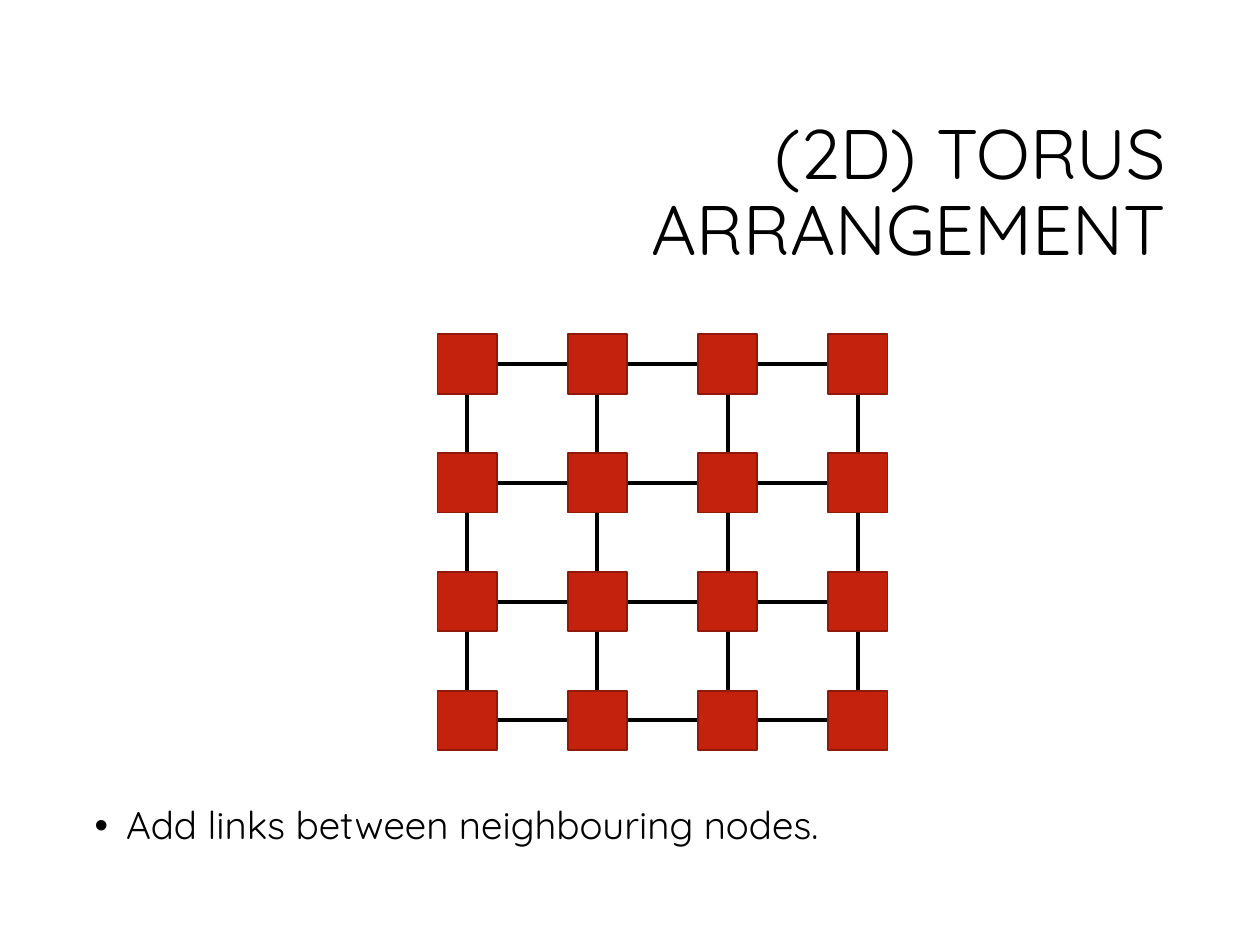
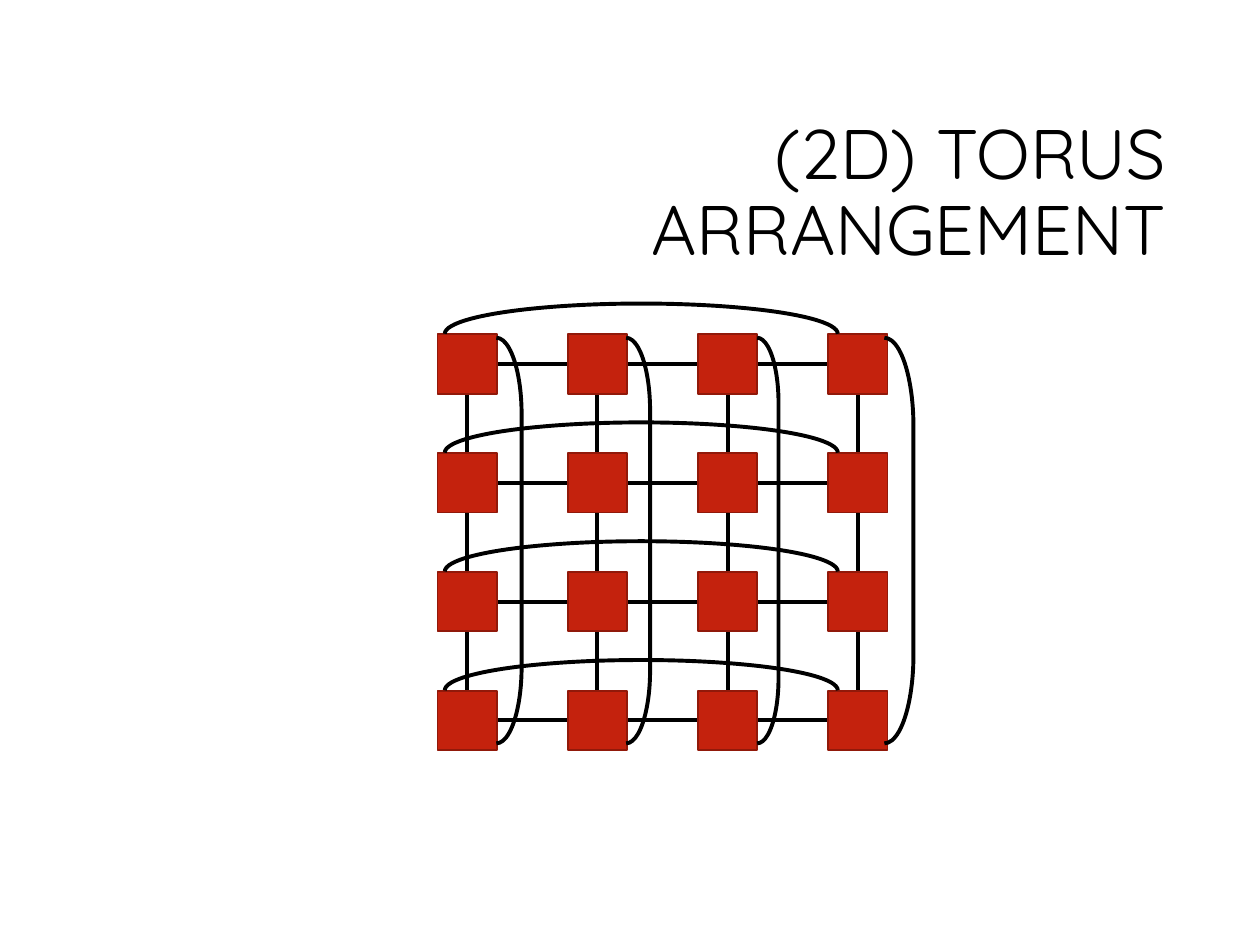
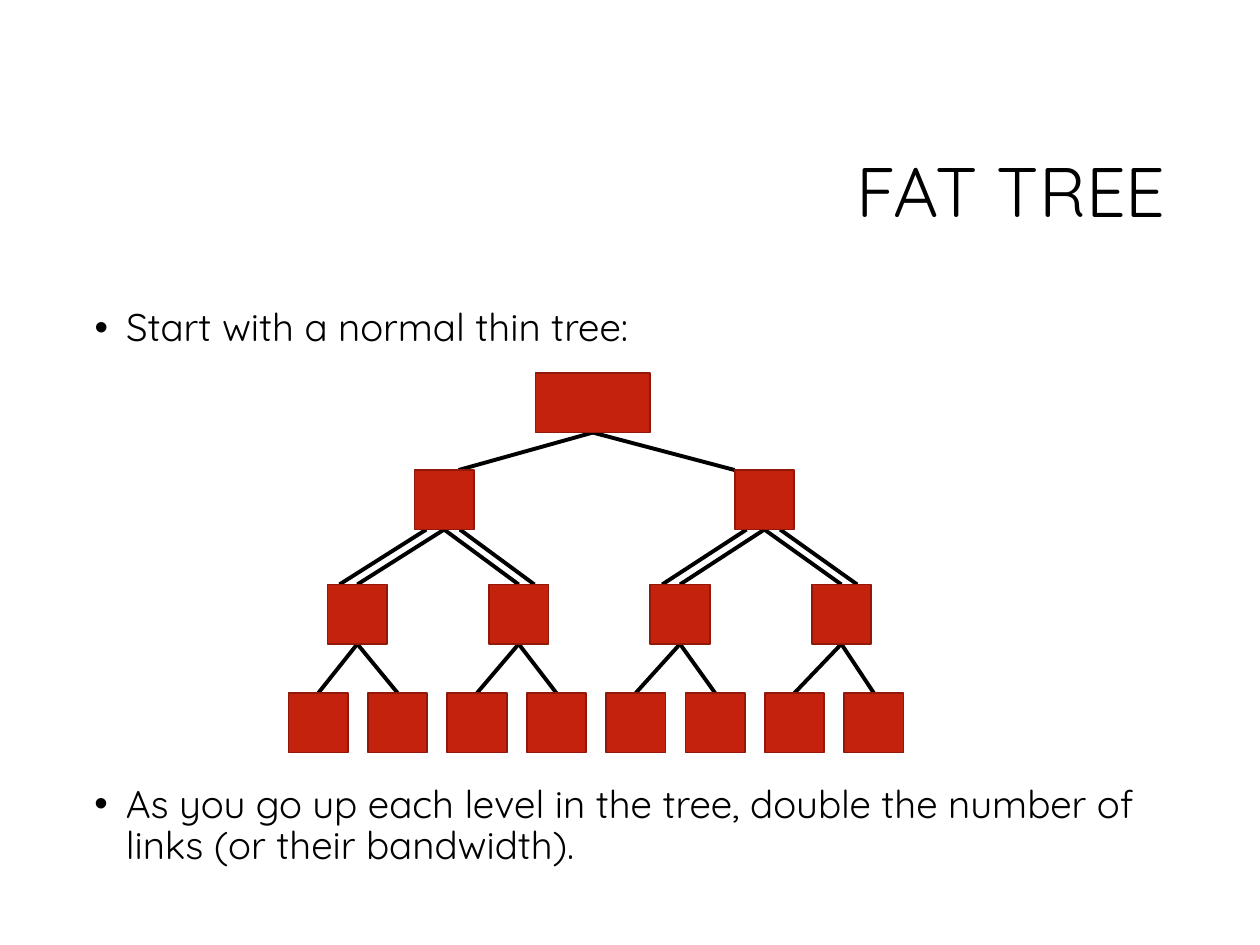
"""Build three slides on torus and fat-tree network arrangements."""
from dataclasses import dataclass
from typing import Any, NamedTuple, Optional

import pptx
import pptx.dml.color
import pptx.enum.shapes
import pptx.enum.text
import pptx.oxml
import pptx.oxml.ns
import pptx.util

Pt = pptx.util.Pt
Shapes = pptx.enum.shapes.MSO_SHAPE
COLORS = {"text": "000000", "link": "000000", "node": "C4220D", "node_edge": "91190A"}
FONT = "Quicksand"
TORUS_TITLE = "(2D) TORUS ARRANGEMENT"
TOP, LEFT, BOTTOM, RIGHT = range(4)
NODE_SIZE = 34
LINK_WIDTH = 2.25
TWIN_OFFSETS = (-10.2, 9)


class Box(NamedTuple):
    left: float
    top: float
    width: float
    height: float


class LinkEnd(NamedTuple):
    x: float
    y: float
    shape: Optional[Any] = None
    site: int = TOP


class ColumnLoop(NamedTuple):
    left: float
    width: float


@dataclass(frozen=True)
class NodeRow:
    left: float
    top: float
    pitch: float
    count: int
    width: float = NODE_SIZE


TITLE_BOX = Box(171.4, 60.5, 501.8, 101.5)
GRID_COUNT = 4
GRID_LEFT, GRID_TOP = 250, 191
GRID_PITCH_X, GRID_PITCH_Y = 74.4, 67.9
COLUMN_LOOPS = (
    ColumnLoop(283.7, 14.4),
    ColumnLoop(357.8, 13.7),
    ColumnLoop(432.7, 12.2),
    ColumnLoop(505.4, 16.6),
)
ROOT = NodeRow(306, 213.2, 0, 1, 65.5)
BRANCHES = NodeRow(236.8, 268.6, 183, 2)
TWIGS = NodeRow(187.2, 334, 92.2, 4)
LEAVES = NodeRow(164.9, 396, 45.35, 8)


def color(name: str) -> pptx.dml.color.RGBColor:
    return pptx.dml.color.RGBColor.from_string(COLORS[name])


def place(shape: Any, box: Box) -> None:
    shape.left, shape.top, shape.width, shape.height = map(Pt, box)


def write(shape: Any, text: str, size: float) -> Any:
    frame = shape.text_frame
    frame.word_wrap = True
    frame.auto_size = pptx.enum.text.MSO_AUTO_SIZE.NONE
    paragraph = frame.paragraphs[0]
    paragraph.line_spacing = 0.9
    paragraph.space_before = Pt(0)
    run = paragraph.add_run()
    run.text = text
    run.font.name = FONT
    run.font.size = Pt(size)
    run.font.color.rgb = color("text")
    return paragraph


def write_bullet(shape: Any, text: str, box: Box) -> None:
    place(shape, box)
    paragraph = write(shape, text, 22)
    properties = paragraph._p.get_or_add_pPr()
    properties.set("marL", str(Pt(18)))
    properties.set("indent", str(-Pt(18)))
    for tag, attribute, value in (("buFont", "typeface", "Arial"), ("buChar", "char", "•")):
        element = pptx.oxml.parse_xml(f'<a:{tag} {pptx.oxml.ns.nsdecls("a")} {attribute}="{value}"/>')
        properties.append(element)


def add_slide(presentation: Any, layout: int, title: str) -> Any:
    slide = presentation.slides.add_slide(presentation.slide_layouts[layout])
    place(slide.shapes.title, TITLE_BOX)
    paragraph = write(slide.shapes.title, title, 40)
    paragraph.alignment = pptx.enum.text.PP_ALIGN.RIGHT
    slide.shapes.title.text_frame.vertical_anchor = pptx.enum.text.MSO_ANCHOR.MIDDLE
    return slide


def add_nodes(slide: Any, row: NodeRow) -> list[Any]:
    nodes = []
    for index in range(row.count):
        left = row.left + index * row.pitch
        node = slide.shapes.add_shape(
            Shapes.RECTANGLE, Pt(left), Pt(row.top), Pt(row.width), Pt(NODE_SIZE))
        node.shadow.inherit = False
        node.fill.solid()
        node.fill.fore_color.rgb = color("node")
        node.line.color.rgb = color("node_edge")
        node.line.width = Pt(1)
        nodes.append(node)
    return nodes


def side(shape: Any, site: int) -> LinkEnd:
    across = {LEFT: 0, RIGHT: 1}.get(site, 0.5)
    down = {TOP: 0, BOTTOM: 1}.get(site, 0.5)
    x = shape.left + across * shape.width
    y = shape.top + down * shape.height
    return LinkEnd(x / Pt(1), y / Pt(1), shape, site)


def shifted(end: LinkEnd, distance: float) -> LinkEnd:
    return LinkEnd(end.x + distance, end.y)


def add_link(links: Any, begin: LinkEnd, end: LinkEnd) -> None:
    connector = links.shapes.add_connector(
        pptx.enum.shapes.MSO_CONNECTOR.STRAIGHT, Pt(begin.x), Pt(begin.y), Pt(end.x), Pt(end.y))
    connector.line.color.rgb = color("link")
    connector.line.width = Pt(LINK_WIDTH)
    effects = pptx.oxml.parse_xml(f'<a:effectLst {pptx.oxml.ns.nsdecls("a")}/>')
    connector.element.spPr.append(effects)
    if begin.shape is not None:
        connector.begin_connect(begin.shape, begin.site)
    if end.shape is not None:
        connector.end_connect(end.shape, end.site)


def add_grid(slide: Any) -> None:
    links = slide.shapes.add_group_shape()
    grid = [
        add_nodes(slide, NodeRow(GRID_LEFT, GRID_TOP + row * GRID_PITCH_Y, GRID_PITCH_X, GRID_COUNT))
        for row in range(GRID_COUNT)
    ]
    for row in grid:
        for node, neighbour in zip(row, row[1:]):
            add_link(links, side(neighbour, LEFT), side(node, RIGHT))
    for upper_row, lower_row in zip(grid, grid[1:]):
        for upper, lower in zip(upper_row, lower_row):
            add_link(links, side(upper, BOTTOM), side(lower, TOP))


def add_loop(slide: Any, box: Box, curve: float, rotation: float = 0) -> None:
    loop = slide.shapes.add_shape(Shapes.RIGHT_BRACKET, *map(Pt, box))
    loop.adjustments[0] = curve
    loop.rotation = rotation
    loop.shadow.inherit = False
    loop.fill.background()
    loop.line.color.rgb = color("link")
    loop.line.width = Pt(LINK_WIDTH)


def add_wraparound(slide: Any) -> None:
    for row in range(GRID_COUNT):
        add_loop(slide, Box(357.8, 69.8 + row * GRID_PITCH_Y, 17.3, 224.6), 6.61, 270)
    for column in COLUMN_LOOPS:
        add_loop(slide, Box(column.left, 193, column.width, 231.8), 3.04)


def add_tree(slide: Any) -> None:
    links = slide.shapes.add_group_shape()
    root = add_nodes(slide, ROOT)[0]
    branches, twigs, leaves = (add_nodes(slide, row) for row in (BRANCHES, TWIGS, LEAVES))
    for index, leaf in enumerate(leaves):
        add_link(links, side(leaf, TOP), side(twigs[index // 2], BOTTOM))
    for index, twig in enumerate(twigs):
        begin, end = side(twig, TOP), side(branches[index // 2], BOTTOM)
        offset = TWIN_OFFSETS[index % 2]
        add_link(links, begin, end)
        add_link(links, shifted(begin, offset), shifted(end, offset))
    for branch, offset in zip(branches, (8.3, -NODE_SIZE / 2)):
        add_link(links, shifted(side(branch, TOP), offset), side(root, BOTTOM))


def main() -> None:
    presentation = pptx.Presentation()
    presentation.slide_width, presentation.slide_height = Pt(720), Pt(540)

    mesh = add_slide(presentation, 1, TORUS_TITLE)
    write_bullet(mesh.placeholders[1], "Add links between neighbouring nodes.",
                 Box(46.8, 457.2, 626.4, 34.6))
    add_grid(mesh)

    torus = add_slide(presentation, 5, TORUS_TITLE)
    add_grid(torus)
    add_wraparound(torus)

    fat_tree = add_slide(presentation, 1, "FAT TREE")
    write_bullet(fat_tree.placeholders[1], "Start with a normal thin tree:",
                 Box(46.8, 172.8, 626.4, 40.3))
    add_tree(fat_tree)
    closing_box = Box(46.8, 445, 626.4, 78.5)
    write_bullet(
        fat_tree.shapes.add_textbox(*map(Pt, closing_box)),
        "As you go up each level in the tree, double the number of links (or their bandwidth).",
        closing_box)

    presentation.save("out.pptx")


if __name__ == "__main__":
    main()
